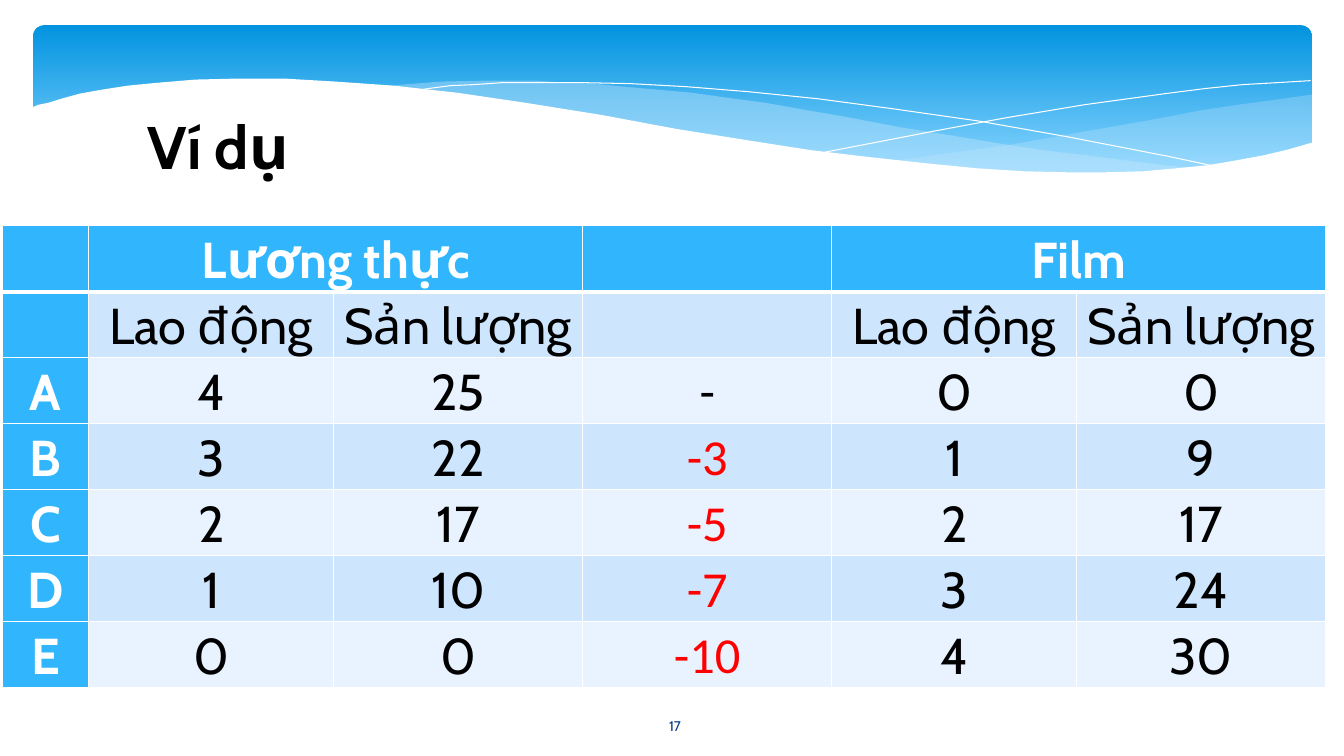
"""Build the slide with the production example table under a wave banner."""
from lxml import etree
from pptx import Presentation, util as u
from pptx.dml.color import RGBColor
from pptx.enum import shapes, text
from pptx.oxml.ns import qn

PX = 9144
SIZE = (1333, 750)
THEME = {
    "font": "Cabin", "alt": "Calibri",
    "white": "FFFFFF", "black": "000000", "red": "FF0000", "navy": "073E87",
    "top": "0293E0", "low": "83D3FE", "mist": "C6E7FC",
    "head": "31B6FD", "bands": ("CEE5FE", "E8F3FF"),
    "title": 42.9, "cell": 36, "page": 10,
}

TITLE = ("Ví dụ", (4, 104, 425, 137))
PAGE = ("17", (585, 700, 169, 40))
ROWS = [
    ("", "Lương thực", "", "", "Film", ""),
    ("", "Lao động", "Sản lượng", "", "Lao động", "Sản lượng"),
    ("A", "4", "25", "-", "0", "0"),
    ("B", "3", "22", "-3", "1", "9"),
    ("C", "2", "17", "-5", "2", "17"),
    ("D", "1", "10", "-7", "3", "24"),
    ("E", "0", "0", "-10", "4", "30"),
]
COLS = (86, 243, 247, 247, 243, 247)
TABLE = (2, 224, sum(COLS), 458)
MERGED = (1, 4)
GAP = 3

BANNER = (33, 25, 1268, 156)
RIGHT = [
    (1300, 94), (1265, 99), (1227, 104), (1188, 110), (1147, 118), (1073, 131),
    (1005, 143), (941, 152), (882, 160), (921, 164), (958, 167), (993, 169),
    (1025, 171), (1056, 172), (1113, 172), (1151, 170), (1186, 166), (1218, 162),
    (1247, 156), (1266, 152), (1301, 142), (1301, 94),
]
MIDDLE = [
    (1190, 167), (1154, 164), (1116, 159), (1076, 154), (1034, 149), (989, 142),
    (941, 134), (891, 126), (839, 116), (798, 109), (759, 102), (721, 97),
    (686, 92), (652, 89), (619, 86), (589, 83), (560, 82), (532, 80), (482, 80),
    (437, 81), (399, 84), (382, 86), (431, 90), (483, 97), (539, 106),
    (599, 116), (654, 126), (706, 135), (755, 143), (802, 150), (846, 156),
    (887, 161), (926, 165), (963, 168), (998, 170), (1030, 172), (1061, 173),
    (1104, 173), (1143, 171), (1167, 169),
]
FALL = [
    (412, 90), (424, 88), (447, 85), (470, 84), (499, 82), (535, 82), (577, 82),
    (625, 83), (680, 86), (742, 91), (811, 98), (886, 108), (970, 120),
    (1060, 136), (1158, 155), (1210, 166),
]
RISE = [
    (818, 151), (870, 141), (927, 130), (997, 117), (1075, 104), (1155, 93),
    (1194, 88), (1232, 84), (1267, 82), (1300, 80),
]
COVER = [
    (1303, 141), (1279, 148), (1254, 154), (1227, 159), (1198, 164), (1167, 167),
    (1134, 170), (1097, 171), (1058, 171), (1015, 170), (969, 167), (918, 162),
    (863, 156), (804, 149), (740, 139), (671, 128), (596, 114), (521, 102),
    (453, 92), (390, 85), (333, 81), (282, 78), (235, 78), (194, 79), (158, 82),
    (127, 85), (101, 89), (79, 93), (61, 98), (48, 102), (38, 104), (31, 107),
    (31, 224), (1303, 224),
]
WAVES = [
    (RIGHT, "mist", 29), (MIDDLE, "mist", 40),
    (FALL, None, 0), (RISE, None, 0), (COVER, "white", 100),
]


def rgb(code):
    return RGBColor.from_string(code)


def put(obj, values):
    for name, value in values.items():
        setattr(obj, name, value)


def write(frame, words, size, color, font, bold, **layout):
    para = frame.paragraphs[0]
    put(para, {"alignment": text.PP_ALIGN.CENTER, **layout})
    run = para.add_run()
    run.text = words
    put(run.font, {"size": u.Pt(size), "name": font, "bold": bold})
    run.font.color.rgb = rgb(color)


def label(slide, item, anchor, *style):
    words, box = item
    frame = slide.shapes.add_textbox(*(n * PX for n in box)).text_frame
    put(frame, {"word_wrap": True, "vertical_anchor": anchor})
    write(frame, words, *style)


def banner(slide):
    kind = shapes.MSO_SHAPE.ROUNDED_RECTANGLE
    shape = slide.shapes.add_shape(kind, *(n * PX for n in BANNER))
    shape.adjustments[0] = 0.07
    shape.shadow.inherit = False
    shape.line.fill.background()
    shape.fill.gradient()
    shape.fill.gradient_angle = 270
    stops = zip(shape.fill.gradient_stops, (0, 0.9), ("top", "low"))
    for stop, place, name in stops:
        stop.position = place
        stop.color.rgb = rgb(THEME[name])


def wave(slide, points, name, alpha):
    pen = slide.shapes.build_freeform(*points[0], scale=PX)
    pen.add_line_segments(points[1:], close=name is not None)
    shape = pen.convert_to_shape()
    shape.shadow.inherit = False
    if name is None:
        shape.fill.background()
        shape.line.color.rgb = rgb(THEME["white"])
        shape.line.width = 0
        return
    shape.line.fill.background()
    shape.fill.solid()
    shape.fill.fore_color.rgb = rgb(THEME[name])
    if alpha < 100:
        color = shape.fill._xPr.find(".//" + qn("a:srgbClr"))
        etree.SubElement(color, qn("a:alpha"), val=str(alpha * 1000))


def border(cell, row):
    props = cell._tc.get_or_add_tcPr()
    for side in "LRTB":
        thick = (row, side) in ((0, "B"), (1, "T"))
        width = u.Pt(3 if thick else 1)
        line = etree.SubElement(props, qn("a:ln" + side), w=str(width))
        fill = etree.SubElement(line, qn("a:solidFill"))
        etree.SubElement(fill, qn("a:srgbClr"), val=THEME["white"])


def grid(slide):
    box = (n * PX for n in TABLE)
    table = slide.shapes.add_table(len(ROWS), len(COLS), *box).table
    table.horz_banding = False
    for col, width in zip(table.columns, COLS):
        col.width = width * PX
    for r, words in enumerate(ROWS):
        table.rows[r].height = TABLE[3] * PX // len(ROWS)
        for c, word in enumerate(words):
            cell = table.cell(r, c)
            head = r == 0 or c == 0
            border(cell, r)
            cell.fill.solid()
            band = THEME["head"] if head else THEME["bands"][(r - 1) % 2]
            cell.fill.fore_color.rgb = rgb(band)
            put(cell, {"margin_left": 7 * PX, "margin_right": 7 * PX,
                       "margin_top": 0, "margin_bottom": 0})
            if not word:
                continue
            loss = c == GAP and word != "-"
            color = "white" if head else "red" if loss else "black"
            font = THEME["alt" if c == GAP else "font"]
            write(cell.text_frame, word, THEME["cell"], THEME[color], font, head,
                  line_spacing=1.07, space_after=u.Pt(8))
    for c in MERGED:
        table.cell(0, c).merge(table.cell(0, c + 1))


def main():
    deck = Presentation()
    put(deck, {"slide_width": SIZE[0] * PX, "slide_height": SIZE[1] * PX})
    slide = deck.slides.add_slide(deck.slide_layouts[6])
    banner(slide)
    for item in WAVES:
        wave(slide, *item)
    anchor = text.MSO_ANCHOR
    label(slide, PAGE, anchor.MIDDLE, THEME["page"], THEME["navy"], THEME["font"], False)
    label(slide, TITLE, anchor.TOP, THEME["title"], THEME["black"], THEME["font"], True)
    grid(slide)
    deck.save("out.pptx")


if __name__ == "__main__":
    main()
